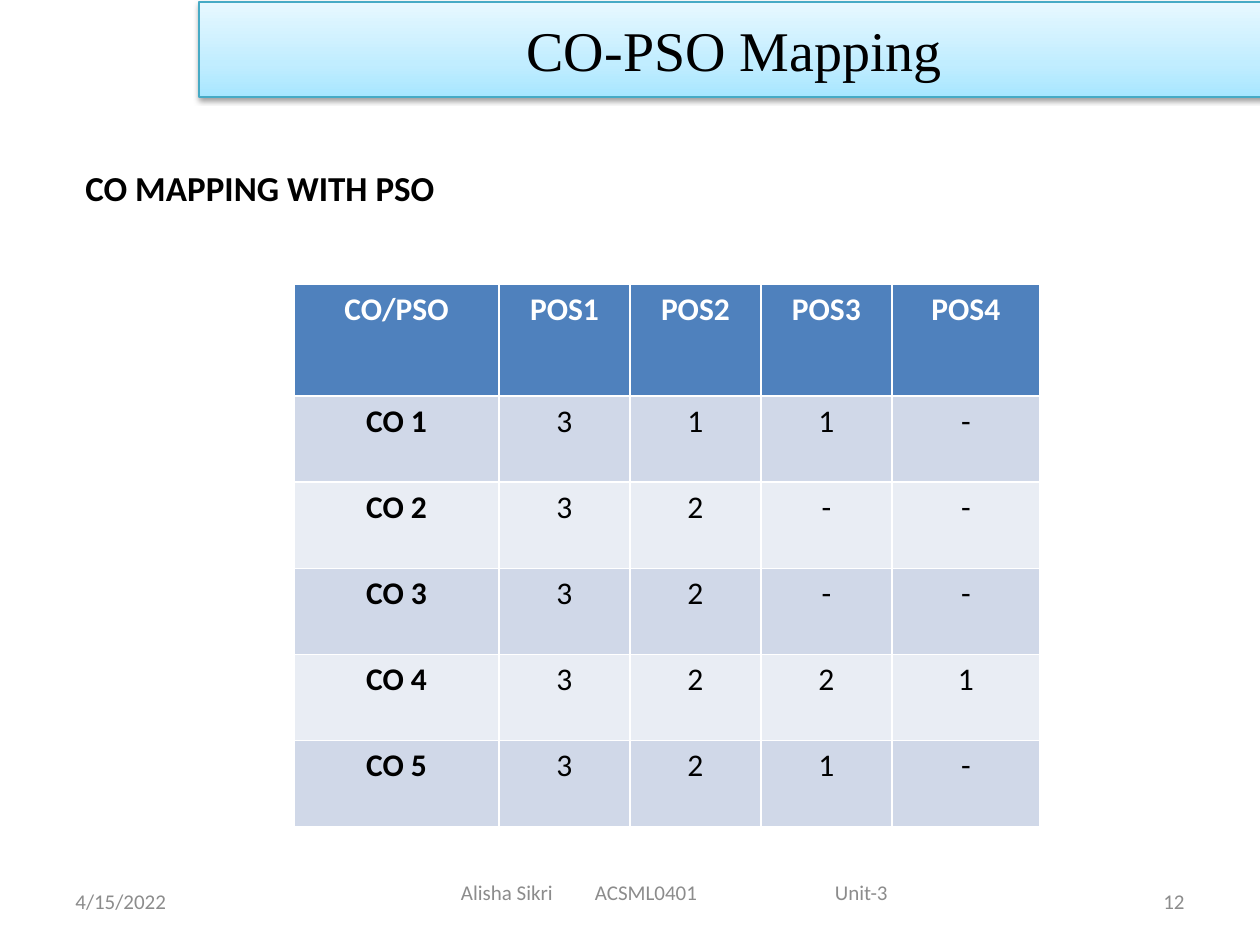
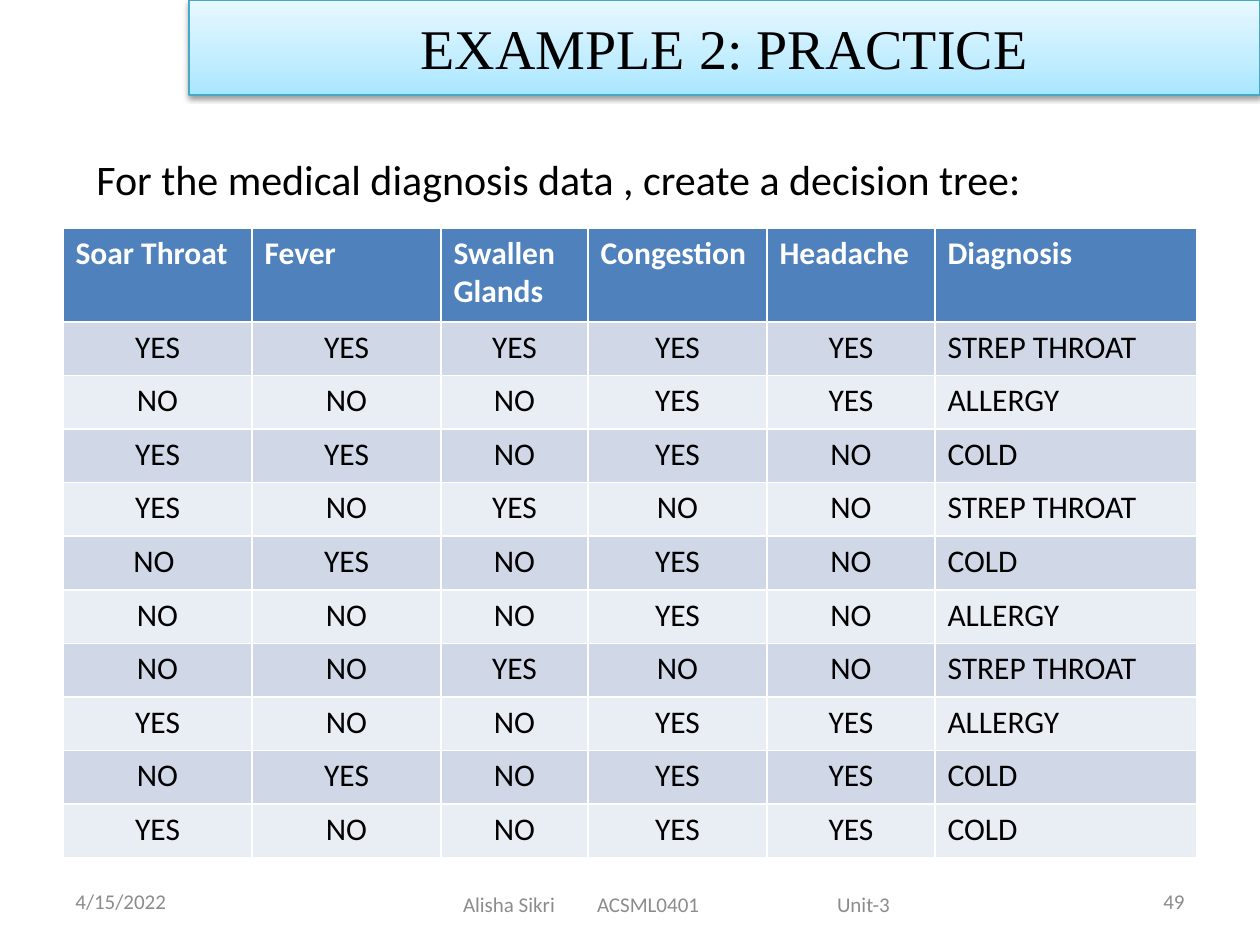
from lxml import etree
from pptx import Presentation
from pptx.dml.color import RGBColor
from pptx.enum.text import MSO_ANCHOR, MSO_AUTO_SIZE, PP_ALIGN
from pptx.oxml import parse_xml
from pptx.oxml.ns import qn
from pptx.util import Emu, Pt

BLACK = RGBColor(0x00, 0x00, 0x00)
WHITE = RGBColor(0xFF, 0xFF, 0xFF)
GREY = RGBColor(0x8C, 0x8C, 0x8C)
HEADER = RGBColor(0x4F, 0x81, 0xBD)
BANDS = [RGBColor(0xD0, 0xD8, 0xE8), RGBColor(0xE9, 0xED, 0xF4)]

LEFT, CENTER, RIGHT = PP_ALIGN.LEFT, PP_ALIGN.CENTER, PP_ALIGN.RIGHT
MIDDLE = MSO_ANCHOR.MIDDLE

TITLE_STYLE = """<a:spPr xmlns:a="http://schemas.openxmlformats.org/drawingml/2006/main">
<a:prstGeom prst="rect"><a:avLst/></a:prstGeom>
<a:gradFill rotWithShape="1"><a:gsLst>
<a:gs pos="0"><a:srgbClr val="A7E6FF"/></a:gs>
<a:gs pos="35000"><a:srgbClr val="C1EDFF"/></a:gs>
<a:gs pos="100000"><a:srgbClr val="E7F8FF"/></a:gs>
</a:gsLst><a:lin ang="16200000" scaled="1"/></a:gradFill>
<a:ln w="9525"><a:solidFill><a:srgbClr val="46AAC5"/></a:solidFill></a:ln>
<a:effectLst><a:outerShdw blurRad="40000" dist="20000" dir="5400000" rotWithShape="0">
<a:srgbClr val="000000"><a:alpha val="38000"/></a:srgbClr>
</a:outerShdw></a:effectLst>
</a:spPr>"""

FOOTER = "Alisha Sikri\tACSML0401\tUnit-3"
FOOTER_TABS = [134, 374]

# Boxes are (left, top, width, height) in px.
SLIDES = [
    dict(
        title="CO-PSO Mapping", title_box=(199, 2, 1071, 95),
        lead="CO MAPPING WITH PSO", lead_box=(73, 160, 1134, 649),
        lead_format=dict(size=20, bold=True),
        number="12", footer_box=(273, 872, 804, 40), footer_inset=188,
        table_box=(294, 284, 746, 543), header_height=112,
        widths=[205, 131, 131, 131, 148],
        header_align=CENTER, last_align=CENTER, bold_first=True,
        rows=[
            ["CO/PSO", "POS1", "POS2", "POS3", "POS4"],
            ["CO 1", "3", "1", "1", "-"],
            ["CO 2", "3", "2", "-", "-"],
            ["CO 3", "3", "2", "-", "-"],
            ["CO 4", "3", "2", "2", "1"],
            ["CO 5", "3", "2", "1", "-"],
        ],
    ),
    dict(
        title="EXAMPLE 2: PRACTICE", title_box=(189, 0, 1071, 95),
        lead="For the medical diagnosis data , create a decision tree:",
        lead_box=(84, 147, 1061, 63), lead_format=dict(size=24),
        number="49", footer_box=(283, 882, 788, 44), footer_inset=180,
        table_box=(63, 228, 1134, 630), header_height=94,
        widths=[189, 189, 147, 179, 168, 262],
        header_align=LEFT, last_align=LEFT, bold_first=False,
        rows=[
            ["Soar Throat", "Fever", "Swallen Glands", "Congestion", "Headache", "Diagnosis"],
            ["YES", "YES", "YES", "YES", "YES", "STREP THROAT"],
            ["NO", "NO", "NO", "YES", "YES", "ALLERGY"],
            ["YES", "YES", "NO", "YES", "NO", "COLD"],
            ["YES", "NO", "YES", "NO", "NO", "STREP THROAT"],
            ["NO ", "YES", "NO", "YES", "NO", "COLD"],
            ["NO", "NO", "NO", "YES", "NO", "ALLERGY"],
            ["NO", "NO", "YES", "NO", "NO", "STREP THROAT"],
            ["YES", "NO", "NO", "YES", "YES", "ALLERGY"],
            ["NO", "YES", "NO", "YES", "YES", "COLD"],
            ["YES", "NO", "NO", "YES", "YES", "COLD"],
        ],
    ),
]


def px(n):
    """Turn pixels, 126 to the inch, into EMU."""
    return Emu(round(n * 914400 / 126))


def write(tf, text, size=18, color=BLACK, bold=False, font="Calibri",
          align=LEFT, anchor=MSO_ANCHOR.TOP, tabs=()):
    tf.word_wrap = True
    tf.vertical_anchor = anchor
    p = tf.paragraphs[0]
    p.alignment = align
    if tabs:
        tab_list = etree.SubElement(p._p.get_or_add_pPr(), qn("a:tabLst"))
        for tab in tabs:
            etree.SubElement(tab_list, qn("a:tab"), pos=str(px(tab)), algn="l")
    r = p.add_run()
    r.text = text
    r.font.name, r.font.size, r.font.bold = font, Pt(size), bold
    r.font.color.rgb = color


prs = Presentation()
prs.slide_width, prs.slide_height = px(1260), px(945)

for data in SLIDES:
    s = prs.slides.add_slide(prs.slide_layouts[5])

    # Title band
    title = s.shapes.title
    title.left, title.top, title.width, title.height = map(px, data["title_box"])
    for part in list(parse_xml(TITLE_STYLE)):
        title._element.spPr.append(part)
    write(title.text_frame, data["title"], size=32, font="Times New Roman",
          align=CENTER, anchor=MIDDLE)
    title.text_frame.auto_size = MSO_AUTO_SIZE.NONE

    # Lead line, date, slide number and footer
    small = dict(size=12, color=GREY, anchor=MIDDLE)
    for text, box, style in [
        (data["lead"], data["lead_box"], data["lead_format"]),
        ("4/15/2022", (63, 876, 294, 50), small),
        (data["number"], (903, 876, 294, 50), dict(small, align=RIGHT)),
    ]:
        sp = s.shapes.add_textbox(*map(px, box))
        write(sp.text_frame, text, **style)

    footer = s.shapes.add_textbox(*map(px, data["footer_box"]))
    footer.text_frame.margin_left = px(data["footer_inset"])
    write(footer.text_frame, FOOTER, tabs=FOOTER_TABS, **small)

    # Table
    rows, widths = data["rows"], data["widths"]
    table = s.shapes.add_table(len(rows), len(widths), *map(px, data["table_box"])).table
    for column, width in zip(table.columns, widths):
        column.width = px(width)
    body_height = (data["table_box"][3] - data["header_height"]) / (len(rows) - 1)
    for i, row in enumerate(rows):
        is_header = i == 0
        table.rows[i].height = px(data["header_height"] if is_header else body_height)
        for j, text in enumerate(row):
            cell = table.cell(i, j)
            cell.fill.solid()
            cell.fill.fore_color.rgb = HEADER if is_header else BANDS[(i - 1) % 2]
            if is_header:
                align = data["header_align"]
            else:
                align = data["last_align"] if j == len(row) - 1 else CENTER
            write(cell.text_frame, text, align=align,
                  color=WHITE if is_header else BLACK,
                  bold=is_header or (j == 0 and data["bold_first"]))

prs.save("out.pptx")
